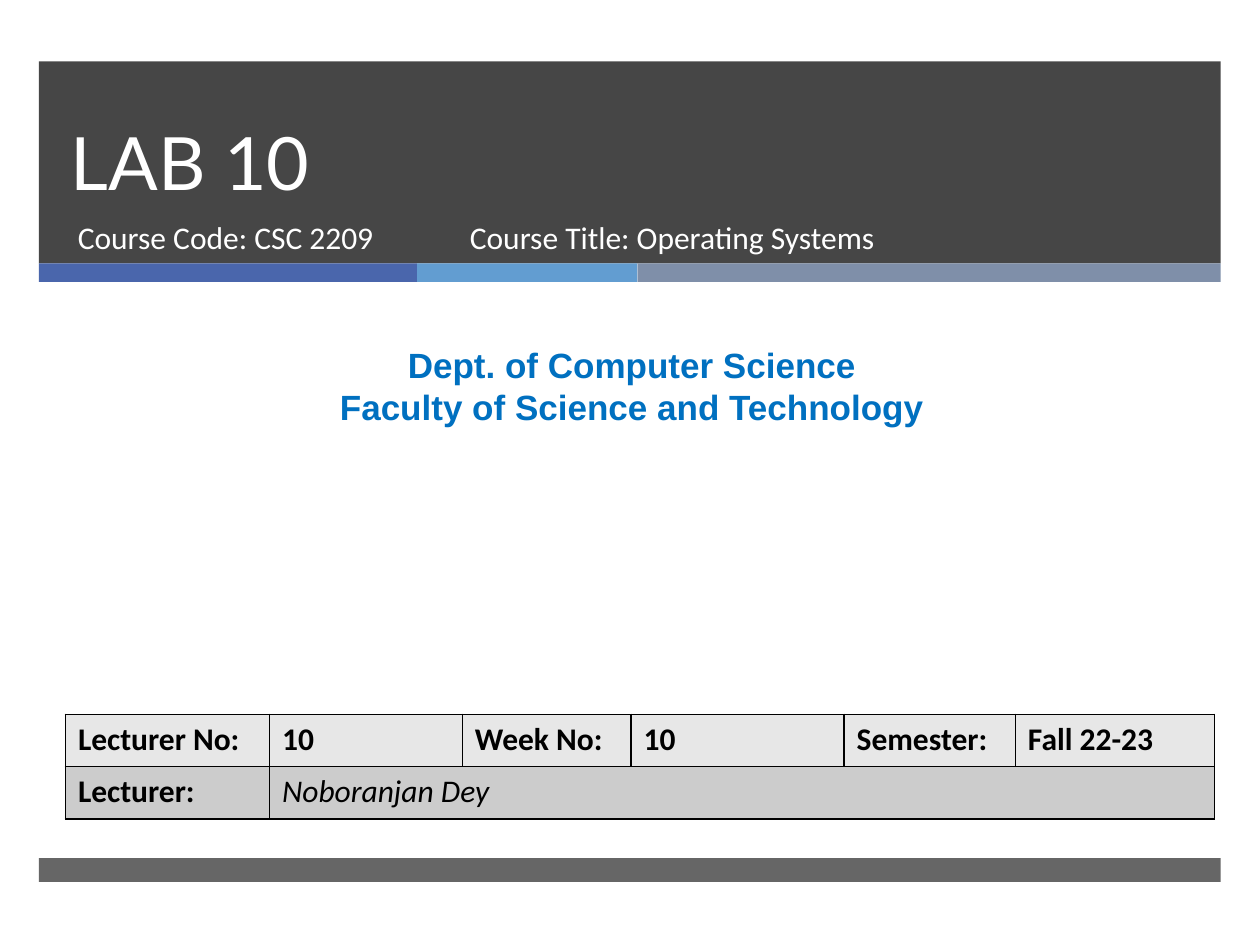
"""Builds the opening slide of an operating systems lab."""
from dataclasses import dataclass

from lxml import etree
from pptx import Presentation
from pptx.dml.color import RGBColor
from pptx.enum.shapes import MSO_SHAPE
from pptx.enum.text import MSO_ANCHOR, MSO_AUTO_SIZE, PP_ALIGN
from pptx.oxml.ns import qn
from pptx.util import Pt

RECTANGLE = MSO_SHAPE.RECTANGLE
LEFT, CENTER = PP_ALIGN.LEFT, PP_ALIGN.CENTER
TOP, BOTTOM = MSO_ANCHOR.TOP, MSO_ANCHOR.BOTTOM
NO_FIT = MSO_AUTO_SIZE.NONE


@dataclass(frozen=True)
class Theme:
    band: str = "262626"
    stripes: tuple = ("4A66AC", "629DD1", "7F8FA9")
    light: str = "FFFFFF"
    ink: str = "000000"
    accent: str = "0070C0"
    rows: tuple = ("E7E7E7", "CCCCCC")
    title_font: str = "Lato"
    body_font: str = "Calibri"
    department_font: str = "Arial"
    title_size: int = 42
    title_leading: int = 46
    department_size: int = 20
    body_size: int = 18


class LabSlide:
    def __init__(self, slide, theme):
        self.slide = slide
        self.theme = theme

    def bar(self, left, top, width, height, color, opacity=100):
        bar = self.slide.shapes.add_shape(RECTANGLE, Pt(left), Pt(top), Pt(width), Pt(height))
        bar.shadow.inherit = False
        bar.line.fill.background()
        bar.fill.solid()
        bar.fill.fore_color.rgb = RGBColor.from_string(color)
        if opacity < 100:
            tint = bar.fill._xPr.find(qn("a:solidFill"))[0]
            etree.SubElement(tint, qn("a:alpha"), val=str(opacity * 1000))

    def run(self, paragraph, words, font, size, color, bold=False, italic=False):
        run = paragraph.add_run()
        run.text = words
        run.font.name = font
        run.font.size = Pt(size)
        run.font.bold = bold
        run.font.italic = italic
        run.font.color.rgb = RGBColor.from_string(color)

    def title(self, words, left, top, width, height):
        title = self.slide.shapes.title
        self.slide.shapes._spTree.append(title._element)
        title.left, title.top, title.width, title.height = map(Pt, (left, top, width, height))
        frame = title.text_frame
        frame.auto_size = NO_FIT
        frame.vertical_anchor = BOTTOM
        paragraph = frame.paragraphs[0]
        paragraph.alignment = LEFT
        paragraph.line_spacing = Pt(self.theme.title_leading)
        self.run(paragraph, words, self.theme.title_font, self.theme.title_size, self.theme.light)

    def text(self, lines, left, top, width, height, align=LEFT, **style):
        frame = self.slide.shapes.add_textbox(Pt(left), Pt(top), Pt(width), Pt(height)).text_frame
        frame.word_wrap = True
        frame.vertical_anchor = TOP
        for index, words in enumerate(lines):
            paragraph = frame.add_paragraph() if index else frame.paragraphs[0]
            paragraph.alignment = align
            self.run(paragraph, words, **style)

    def borders(self, cell):
        properties = cell._tc.get_or_add_tcPr()
        for index, side in enumerate(("lnL", "lnR", "lnT", "lnB")):
            edge = etree.Element(qn(f"a:{side}"), w=str(Pt(1)))
            fill = etree.SubElement(edge, qn("a:solidFill"))
            etree.SubElement(fill, qn("a:srgbClr"), val=self.theme.ink)
            properties.insert(index, edge)

    def table(self, rows, left, top, widths, row_height):
        frame = self.slide.shapes.add_table(
            len(rows), len(widths), Pt(left), Pt(top), Pt(sum(widths)), Pt(row_height * len(rows)))
        table = frame.table
        for column, width in zip(table.columns, widths):
            column.width = Pt(width)
        for r, (row, color) in enumerate(zip(rows, self.theme.rows)):
            table.rows[r].height = Pt(row_height)
            for c in range(len(widths)):
                cell = table.cell(r, c)
                cell.fill.solid()
                cell.fill.fore_color.rgb = RGBColor.from_string(color)
                self.borders(cell)
                if c < len(row):
                    words, italic = row[c]
                    self.run(cell.text_frame.paragraphs[0], words, self.theme.body_font,
                             self.theme.body_size, self.theme.ink, not italic, italic)
            if len(row) < len(widths):
                table.cell(r, len(row) - 1).merge(table.cell(r, len(widths) - 1))


def main():
    deck = Presentation()
    deck.slide_width, deck.slide_height = Pt(720), Pt(540)
    theme = Theme()
    lab = LabSlide(deck.slides.add_slide(deck.slide_layouts[5]), theme)

    margin, stripe_widths = 22.3, (216, 126, 333.2)
    band_width = sum(stripe_widths)
    lab.bar(margin, 35.1, band_width, 115.4, theme.band, 85)
    for index, (width, color) in enumerate(zip(stripe_widths, theme.stripes)):
        lab.bar(margin + sum(stripe_widths[:index]), 150.5, width, 10.6, color)
    lab.bar(margin, 490.3, band_width, 13.7, theme.band, 70)

    lab.title("LAB 10", 33.1, 35.3, 615, 85.7)
    course = dict(font=theme.body_font, size=theme.body_size, color=theme.light)
    lab.text(["Course Code: CSC 2209"], 37.4, 121, 219.6, 38, **course)
    lab.text(["Dept. of Computer Science", "Faculty of Science and Technology"],
             5.8, 193, 710.6, 55.4, CENTER, font=theme.department_font,
             size=theme.department_size, color=theme.accent, bold=True)

    session = ["Lecturer No:", "10", "Week No:", "10", "Semester:", "Fall 22-23"]
    lab.table([[(words, False) for words in session],
               [("Lecturer:", False), ("Noboranjan Dey", True)]],
              37.4, 408.2, (116.6, 110.2, 96.5, 121.7, 97.9, 113.8), 29.9)
    lab.text(["Course Title: Operating Systems"], 261.4, 121.2, 327.6, 38, **course)

    deck.save("out.pptx")


if __name__ == "__main__":
    main()
